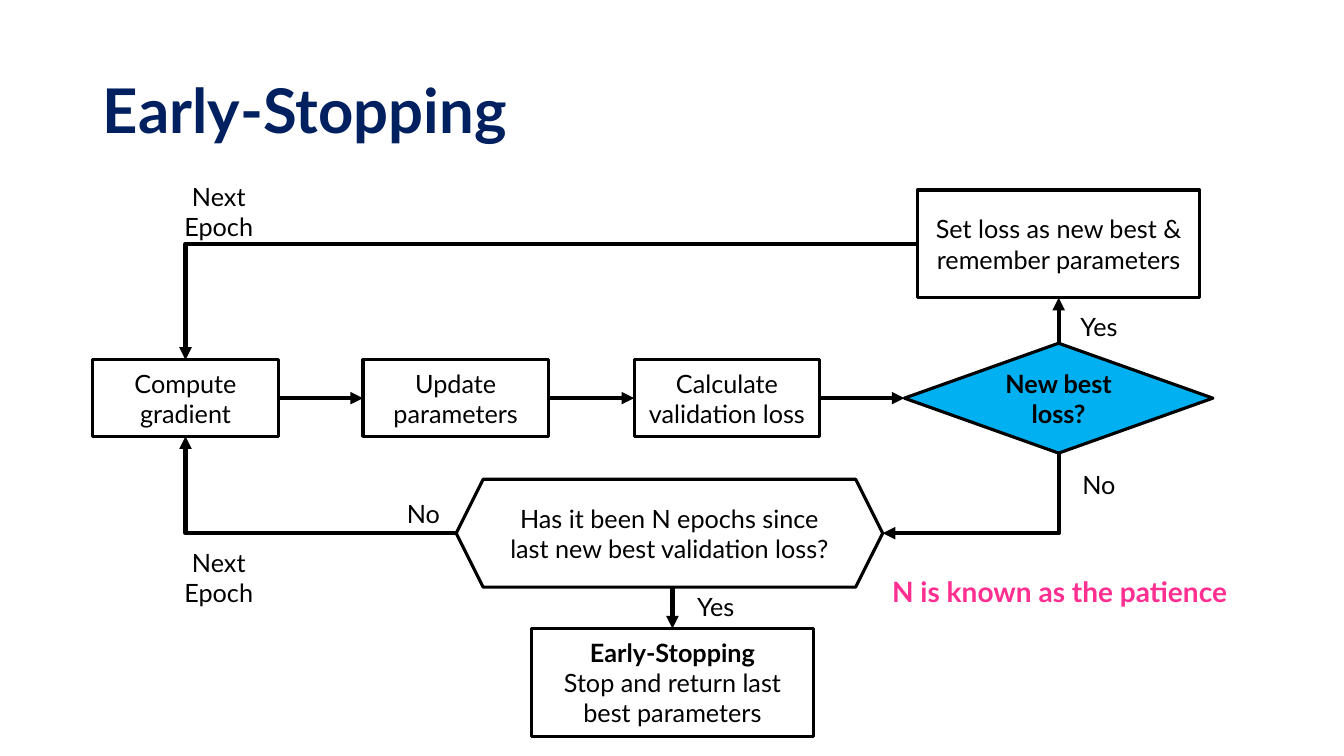
"""Build the early-stopping flowchart slide."""
import pptx
import pptx.util
import pptx.dml.color
import pptx.enum.shapes
import pptx.enum.text
import pptx.oxml
import pptx.oxml.ns
from dataclasses import dataclass

KIND = pptx.enum.shapes.MSO_SHAPE
LINK = pptx.enum.shapes.MSO_CONNECTOR
ALIGN = pptx.enum.text.PP_ALIGN
MID = pptx.enum.text.MSO_ANCHOR.MIDDLE


@dataclass(frozen=True)
class Theme:
    font: str = "Lato"
    navy: str = "002060"
    ink: str = "000000"
    paper: str = "FFFFFF"
    blue: str = "00B0F0"
    pink: str = "FF2F92"
    head: int = 44
    body: int = 18
    note: int = 20
    edge: float = 2.25
    wire: float = 3


theme = Theme()
COLS = {"grad": 1.84, "param": 4.52, "loss": 7.21, "best": 10.5,
        "wait": 6.64, "stop": 6.67}
ROWS = {"top": 2.42, "main": 3.95, "check": 5.29, "end": 6.77}
STEP, WIDE = (1.84, 0.76), (2.8, 1.07)
TAG = (1.2, 0.64)

TITLE = "Early-Stopping"
NOTE = "N is known as the patience"
NODES = {
    "grad": ("grad", "main", STEP, KIND.RECTANGLE, theme.paper,
             [("Compute gradient", False)]),
    "param": ("param", "main", STEP, KIND.RECTANGLE, theme.paper,
              [("Update parameters", False)]),
    "loss": ("loss", "main", STEP, KIND.RECTANGLE, theme.paper,
             [("Calculate validation loss", False)]),
    "best": ("best", "main", (3.06, 1.09), KIND.DIAMOND, theme.blue,
             [("New best loss?", True)]),
    "save": ("best", "top", WIDE, KIND.RECTANGLE, theme.paper,
             [("Set loss as new best & remember parameters", False)]),
    "wait": ("wait", "check", (4.23, 1.07), KIND.HEXAGON, theme.paper,
             [("Has it been N epochs since last new best validation loss?", False)]),
    "stop": ("stop", "end", WIDE, KIND.RECTANGLE, theme.paper,
             [("Early-Stopping", True),
              ("Stop and return last best parameters", False)]),
}
ARROWS = [
    ("grad", "right", "param", "left", "tailEnd"),
    ("param", "right", "loss", "left", "tailEnd"),
    ("loss", "right", "best", "left", "tailEnd"),
    ("best", "top", "save", "bottom", "tailEnd"),
    ("save", "left", "grad", "top", "tailEnd"),
    ("wait", "right", "best", "bottom", "headEnd"),
    ("wait", "left", "grad", "bottom", "tailEnd"),
    ("wait", "bottom", "stop", "top", "tailEnd"),
]
TAGS = [
    ("Yes", 10.9, 3.24), ("No", 10.9, 4.81), ("Yes", 7.1, 6.02),
    ("No", 4.2, 5.09), ("Next Epoch", 2.17, 5.73), ("Next Epoch", 2.17, 2.1),
]
SIDES = {"left": (-0.5, 0), "right": (0.5, 0), "top": (0, -0.5), "bottom": (0, 0.5)}


def inch(*nums):
    return [pptx.util.Inches(n) for n in nums]


def tint(code):
    return pptx.dml.color.RGBColor.from_string(code)


def box(mid, size):
    return inch(mid[0] - size[0] / 2, mid[1] - size[1] / 2, *size)


def write(frame, lines, size=theme.body, color=theme.ink, align=ALIGN.CENTER):
    frame.word_wrap = True
    frame.vertical_anchor = MID
    for i, (text, bold) in enumerate(lines):
        para = frame.add_paragraph() if i else frame.paragraphs[0]
        para.alignment = align
        run = para.add_run()
        run.text = text
        run.font.name = theme.font
        run.font.size = pptx.util.Pt(size)
        run.font.bold = bold
        run.font.color.rgb = tint(color)


def node(shapes, col, row, size, kind, fill, lines):
    shape = shapes.add_shape(kind, *box((COLS[col], ROWS[row]), size))
    shape.shadow.inherit = False
    shape.fill.solid()
    shape.fill.fore_color.rgb = tint(fill)
    shape.line.color.rgb = tint(theme.ink)
    shape.line.width = pptx.util.Pt(theme.edge)
    frame = shape.text_frame
    if kind == KIND.HEXAGON:
        frame.margin_left = frame.margin_right = 0
        frame.margin_top = frame.margin_bottom = 0
    write(frame, lines)


def port(name, side):
    col, row, size = NODES[name][:3]
    dx, dy = SIDES[side]
    return COLS[col] + dx * size[0], ROWS[row] + dy * size[1]


def arrow(shapes, src, out, dst, into, end):
    start, stop = port(src, out), port(dst, into)
    flat = out in ("left", "right")
    bent = flat != (into in ("left", "right"))
    if not bent:
        stop = (stop[0], start[1]) if flat else (start[0], stop[1])
        if src == "wait":
            start = stop = (COLS[dst], start[1])
            stop = (COLS[dst], port(dst, into)[1])
    kind = LINK.ELBOW if bent else LINK.STRAIGHT
    wire = shapes.add_connector(kind, *inch(*start, *stop))
    wire.line.color.rgb = tint(theme.ink)
    wire.line.width = pptx.util.Pt(theme.wire)
    props = wire._element.spPr
    if bent:
        props.find(pptx.oxml.ns.qn("a:prstGeom")).set("prst", "bentConnector2")
    space = pptx.oxml.ns.nsdecls("a")
    tip = pptx.oxml.parse_xml(f'<a:{end} {space} type="triangle"/>')
    props.find(pptx.oxml.ns.qn("a:ln")).append(tip)
    props.append(pptx.oxml.parse_xml(f"<a:effectLst {space}/>"))


def main():
    deck = pptx.Presentation()
    deck.slide_width, deck.slide_height = inch(13.33, 7.5)
    slide = deck.slides.add_slide(deck.slide_layouts[5])
    shapes = slide.shapes
    title = shapes.title
    title.left, title.top, title.width, title.height = inch(0.92, 0.4, 11.5, 1.45)
    write(title.text_frame, [(TITLE, True)], theme.head, theme.navy, ALIGN.LEFT)
    title.text_frame.paragraphs[0].line_spacing = 0.9
    for item in NODES.values():
        node(shapes, *item)
    for item in ARROWS:
        arrow(shapes, *item)
    for text, x, y in TAGS:
        tag = shapes.add_textbox(*box((x, y), TAG))
        write(tag.text_frame, [(text, False)])
    note = shapes.add_textbox(*inch(8.75, 5.65, 3.6, 0.44))
    write(note.text_frame, [(NOTE, True)], theme.note, theme.pink, ALIGN.LEFT)
    note.text_frame.word_wrap = False
    deck.save("out.pptx")


if __name__ == "__main__":
    main()
